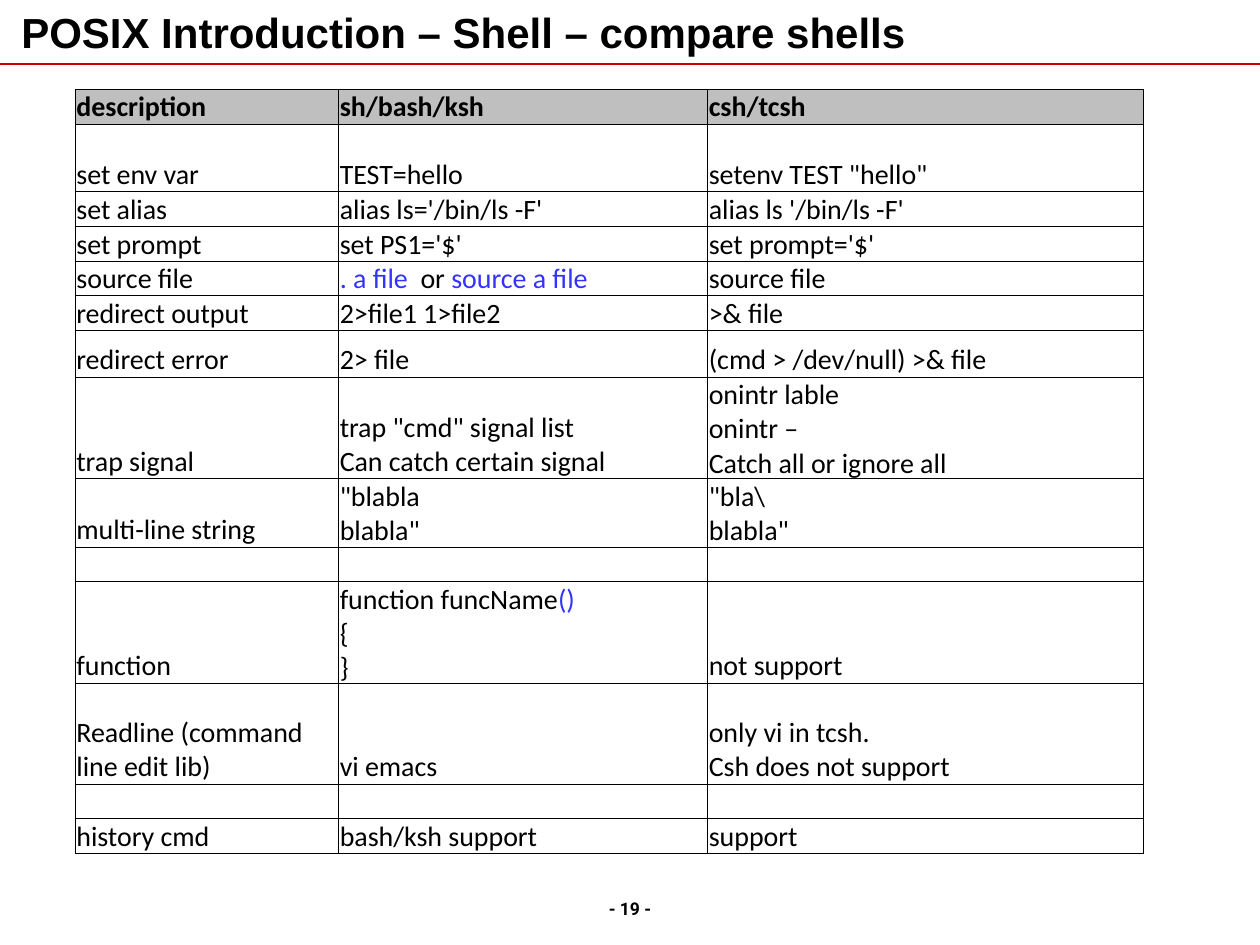
from copy import deepcopy

from lxml.etree import SubElement
from pptx import Presentation
from pptx.dml.color import RGBColor
from pptx.enum.shapes import MSO_CONNECTOR
from pptx.enum.text import MSO_ANCHOR, MSO_AUTO_SIZE, PP_ALIGN
from pptx.oxml.ns import qn
from pptx.util import Cm, Pt

BLACK, RED, BLUE, GREY = "000000", "CC0000", "3333FF", "BFBFBF"
CELL_SIZE = 16

COLUMN_WIDTHS = [5.31, 7.44, 8.79]
LINE = 0.69

# Row height, then the cells. "\n" starts a paragraph, "\v" breaks a line;
# a list holds (text, colour) runs.
COMPARISON = [
    (LINE, "description", "sh/bash/ksh", "csh/tcsh"),
    (1.37, "set env var", "TEST=hello", 'setenv TEST "hello"'),
    (LINE, "set alias", "alias ls='/bin/ls -F'", "alias ls '/bin/ls -F'"),
    (LINE, "set prompt", "set PS1='$'", "set prompt='$'"),
    (LINE, "source file",
     [(". a file  ", BLUE), ("or ", BLACK), ("source a file", BLUE)],
     "source file"),
    (LINE, "redirect output", "2>file1 1>file2", ">& file"),
    (0.94, "redirect error", "2> file", "(cmd > /dev/null) >& file"),
    (1.65, "trap signal", 'trap "cmd" signal list\nCan catch certain signal',
     "onintr lable\vonintr –\nCatch all or ignore all"),
    (1.37, "multi-line string", '"blabla\vblabla"', '"bla\\\vblabla"'),
    (LINE, "", "", ""),
    (2.03, "function",
     [("function funcName", BLACK), ("()\v", BLUE), ("{\v}", BLACK)],
     "not support"),
    (2.03, "Readline (command line edit lib)", "vi emacs",
     "only vi in tcsh.\nCsh does not support"),
    (LINE, "", "", ""),
    (LINE, "history cmd", "bash/ksh support", "support"),
]


def rgb(value):
    return RGBColor.from_string(value)


def add_run(paragraph, text, size, font, bold=False, color=BLACK):
    run = paragraph.add_run()
    run.text = text
    run.font.size = Pt(size)
    run.font.name = font
    run.font.bold = bold
    run.font.color.rgb = rgb(color)
    return run


def add_cell_text(paragraph, text, bold, color):
    """Add text whose line breaks keep the size of the run before them."""
    for index, piece in enumerate(text.split("\v")):
        if index:
            paragraph.add_line_break()
            paragraph._p[-1].append(deepcopy(run._r.rPr))
        if piece:
            run = add_run(paragraph, piece, CELL_SIZE, "Calibri", bold, color)


def fill_cell(cell, content, bold):
    frame = cell.text_frame
    if not content:
        SubElement(frame.paragraphs[0]._p, qn("a:endParaRPr"),
                   sz=str(CELL_SIZE * 100))
    elif isinstance(content, list):
        for text, color in content:
            add_cell_text(frame.paragraphs[0], text, bold, color)
    else:
        for index, text in enumerate(content.split("\n")):
            paragraph = frame.add_paragraph() if index else frame.paragraphs[0]
            add_cell_text(paragraph, text, bold, BLACK)


def format_cell(cell, fill):
    cell.vertical_anchor = MSO_ANCHOR.BOTTOM
    cell.margin_left = cell.margin_right = cell.margin_top = Cm(0.02)
    cell.margin_bottom = 0
    properties = cell._tc.get_or_add_tcPr()
    for side in ("lnL", "lnR", "lnT", "lnB"):
        border = SubElement(properties, qn(f"a:{side}"), w=str(Pt(0.5)))
        solid = SubElement(border, qn("a:solidFill"))
        SubElement(solid, qn("a:srgbClr"), val=BLACK)
    if fill:
        cell.fill.solid()
        cell.fill.fore_color.rgb = rgb(fill)
    else:
        cell.fill.background()


def add_header(slide, left, top, width, height):
    rule_y = top + height + Cm(0.15)
    rule = slide.shapes.add_connector(
        MSO_CONNECTOR.STRAIGHT, Cm(-0.05), rule_y, Cm(25.4), rule_y)
    rule.line.color.rgb = rgb(RED)
    rule.line.width = Pt(1.5)
    SubElement(rule._element.spPr, qn("a:effectLst"))

    title = slide.shapes.title
    title.left, title.top, title.width, title.height = left, top, width, height
    frame = title.text_frame
    frame.auto_size = MSO_AUTO_SIZE.NONE
    frame.vertical_anchor = MSO_ANCHOR.BOTTOM
    frame.margin_left = frame.margin_right = 0
    frame.margin_top = frame.margin_bottom = 0
    paragraph = frame.paragraphs[0]
    paragraph.alignment = PP_ALIGN.LEFT
    add_run(paragraph, "POSIX Introduction – Shell – compare shells",
            24, "Arial", bold=True)


def add_comparison(slide, left, top):
    width = Cm(sum(COLUMN_WIDTHS))
    height = Cm(sum(row[0] for row in COMPARISON))
    table = slide.shapes.add_table(
        len(COMPARISON), len(COLUMN_WIDTHS), left, top, width, height).table
    table.first_row = table.horz_banding = False
    for column, column_width in zip(table.columns, COLUMN_WIDTHS):
        column.width = Cm(column_width)
    for index, (row, (row_height, *contents)) in enumerate(
            zip(table.rows, COMPARISON)):
        row.height = Cm(row_height)
        is_heading = index == 0
        for cell, content in zip(row.cells, contents):
            format_cell(cell, GREY if is_heading else None)
            fill_cell(cell, content, is_heading)


def add_page_number(slide, left, top, width, height):
    frame = slide.shapes.add_textbox(left, top, width, height).text_frame
    frame.word_wrap = True
    paragraph = frame.paragraphs[0]
    paragraph.alignment = PP_ALIGN.CENTER
    add_run(paragraph, "- 19 -", 10, "Roboto", bold=True)


def main():
    deck = Presentation()
    deck.slide_width, deck.slide_height = Cm(25.4), Cm(19.05)
    slide = deck.slides.add_slide(deck.slide_layouts.get_by_name("Title Only"))
    add_header(slide, Cm(0.43), Cm(0.2), Cm(24.56), Cm(0.94))
    add_page_number(slide, Cm(10.06), Cm(17.98), Cm(5.28), Cm(0.69))
    add_comparison(slide, Cm(1.52), Cm(1.8))
    deck.save("out.pptx")


if __name__ == "__main__":
    main()
